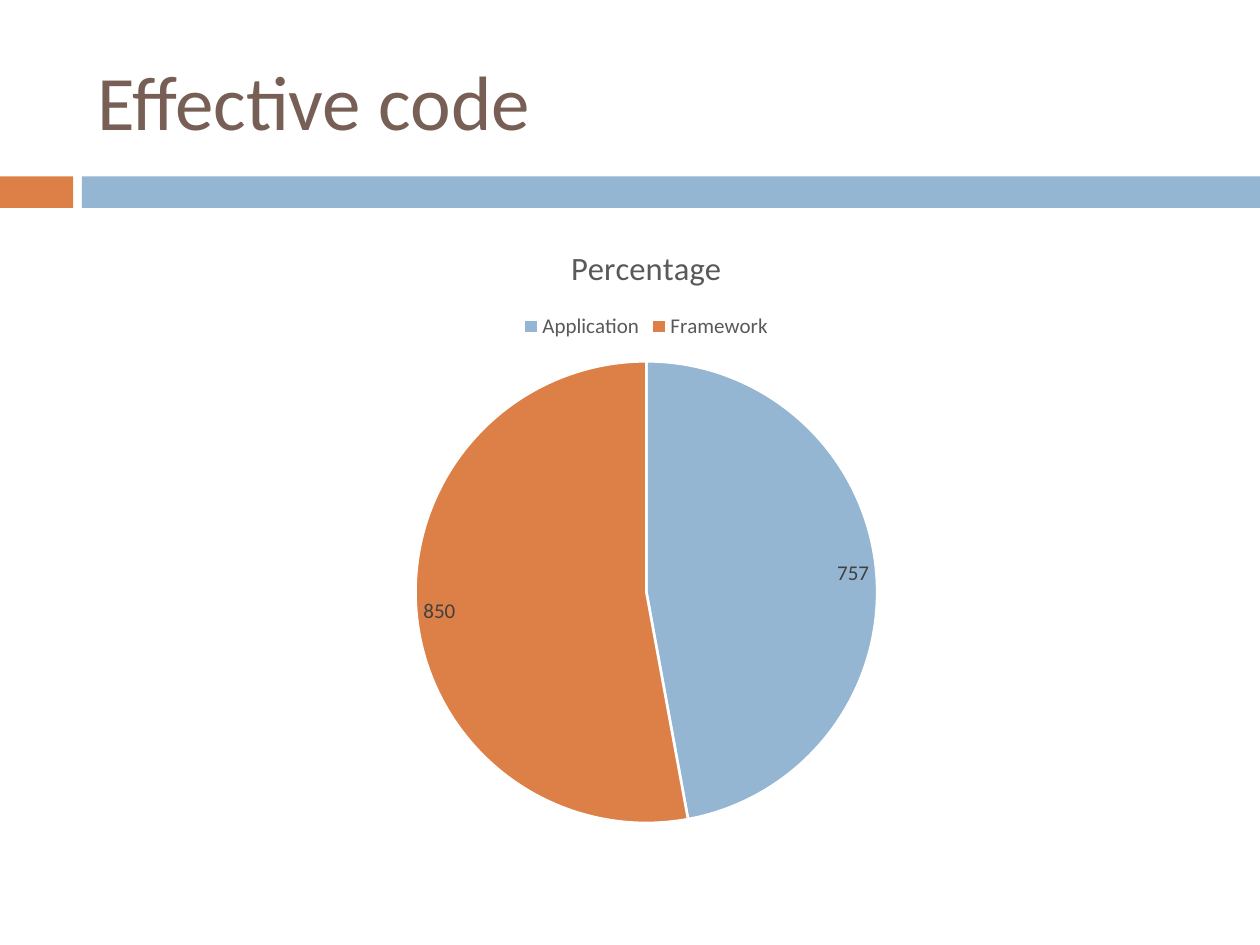
import pptx
import pptx.chart.data
import pptx.dml.color
import pptx.enum.chart
import pptx.enum.shapes
import pptx.enum.text
import pptx.util

Inches = pptx.util.Inches
FONT = "Calibri"
TITLE = "Effective code"
SERIES = "Percentage"
SLICES = [("Application", 757, "94B6D2"), ("Framework", 850, "DD8047")]
BANDS = [(0, 0.58, "DD8047"), (0.65, 9.35, "94B6D2")]
BAND_TOP, BAND_HEIGHT = 1.4, 0.25
LEFT, WIDTH = 0.67, 8.92


def color(value):
    return pptx.dml.color.RGBColor.from_string(value)


def fill(part, value):
    part.fill.solid()
    part.fill.fore_color.rgb = color(value)


def style(font, size, value):
    font.name = FONT
    font.size = pptx.util.Pt(size)
    font.bold = False
    font.color.rgb = color(value)


def add_bands(page):
    for left, width, value in BANDS:
        band = page.shapes.add_shape(
            pptx.enum.shapes.MSO_SHAPE.RECTANGLE,
            Inches(left), Inches(BAND_TOP), Inches(width), Inches(BAND_HEIGHT))
        band.shadow.inherit = False
        fill(band, value)
        band.line.fill.background()


def add_title(page):
    box = page.shapes.title
    box.left, box.top = Inches(LEFT), Inches(0.25)
    box.width, box.height = Inches(WIDTH), Inches(1.08)
    box.text_frame.text = TITLE
    box.text_frame.vertical_anchor = pptx.enum.text.MSO_ANCHOR.MIDDLE
    para = box.text_frame.paragraphs[0]
    para.alignment = pptx.enum.text.PP_ALIGN.LEFT
    style(para.font, 44, "775F55")


def add_pie(page):
    names, values, colors = zip(*SLICES)
    data = pptx.chart.data.CategoryChartData()
    data.categories = names
    data.add_series(SERIES, values)
    chart = page.shapes.add_chart(
        pptx.enum.chart.XL_CHART_TYPE.PIE,
        Inches(LEFT), Inches(1.75), Inches(WIDTH), Inches(4.92), data).chart
    style(chart.font, 10, "000000")

    chart.has_title = True
    chart.chart_title.include_in_layout = False
    chart.chart_title.text_frame.text = SERIES
    style(chart.chart_title.text_frame.paragraphs[0].font, 18.6, "595959")

    chart.has_legend = True
    chart.legend.position = pptx.enum.chart.XL_LEGEND_POSITION.TOP
    chart.legend.include_in_layout = False
    style(chart.legend.font, 12, "595959")

    plot = chart.plots[0]
    plot.vary_by_categories = True
    plot.has_data_labels = True
    labels = plot.data_labels
    labels.show_value = True
    labels.show_percentage = False
    labels.position = pptx.enum.chart.XL_LABEL_POSITION.BEST_FIT
    style(labels.font, 12, "404040")

    for index, value in enumerate(colors):
        piece = plot.series[0].points[index].format
        fill(piece, value)
        piece.line.color.rgb = color("FFFFFF")
        piece.line.width = pptx.util.Pt(1.5)


def main():
    deck = pptx.Presentation()
    deck.slide_width, deck.slide_height = Inches(10), Inches(7.5)
    page = deck.slides.add_slide(deck.slide_layouts.get_by_name("Title Only"))
    fill(page.background, "FFFFFF")
    add_bands(page)
    add_title(page)
    add_pie(page)
    deck.save("out.pptx")


if __name__ == "__main__":
    main()
